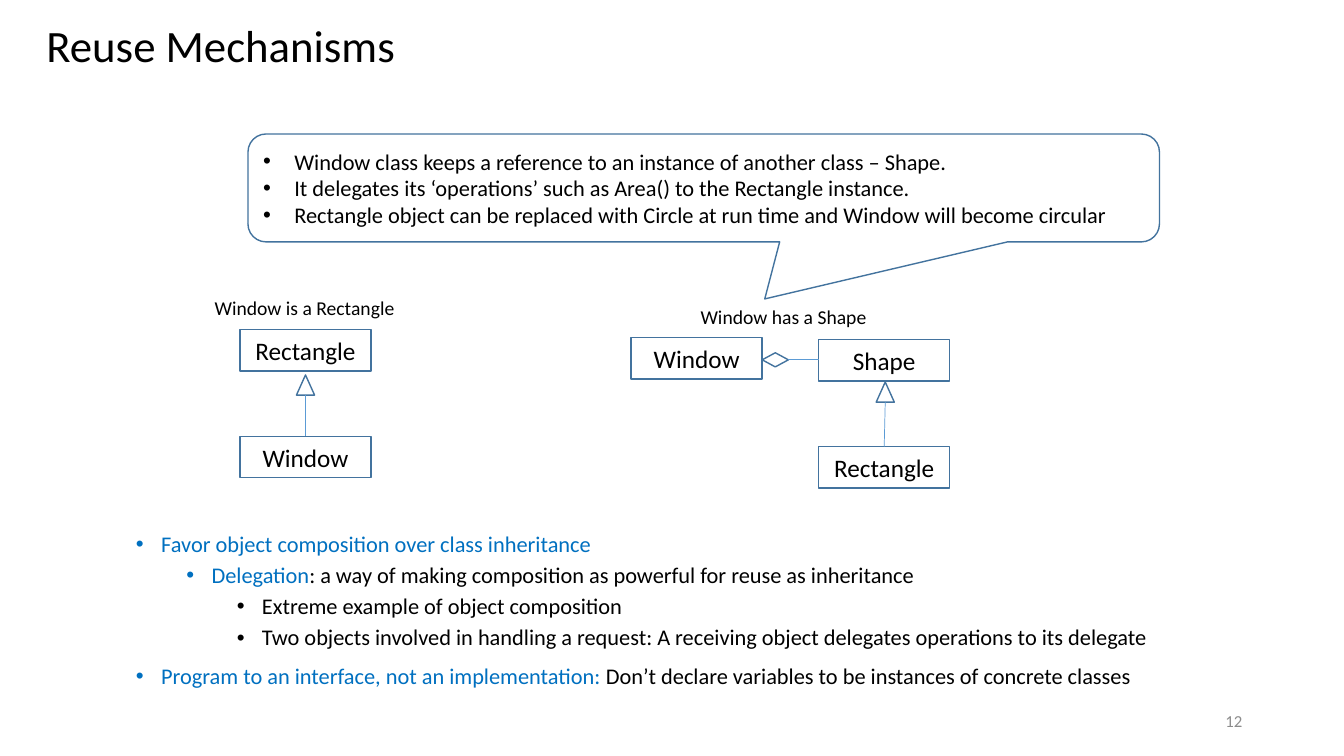
from lxml.etree import SubElement
from pptx import Presentation
from pptx.dml.color import RGBColor
from pptx.enum.shapes import MSO_CONNECTOR, MSO_SHAPE
from pptx.enum.text import MSO_ANCHOR, PP_ALIGN
from pptx.oxml.ns import qn
from pptx.util import Inches, Pt

COLORS = {"text": "000000", "key": "0070C0", "edge": "43739E",
          "link": "5B9BD5", "page": "8C8C8C"}
BOX_W, BOX_H = 1.3, 0.41
TIP_W, TIP_H = 0.18, 0.2

CALLOUT = [
    "Window class keeps a reference to an instance of another class – Shape.",
    "It delegates its ‘operations’ such as Area() to the Rectangle instance.",
    "Rectangle object can be replaced with Circle at run time and Window will become circular",
]
# Each point: level, highlighted words, plain words
POINTS = [
    (0, "Favor object composition over class inheritance", ""),
    (1, "Delegation", ": a way of making composition as powerful for reuse as inheritance"),
    (2, "", "Extreme example of object composition"),
    (2, "", "Two objects involved in handling a request: "
            "A receiving object delegates operations to its delegate"),
    (0, "Program to an interface, not an implementation: ",
     "Don’t declare variables to be instances of concrete classes"),
]


def color(name):
    return RGBColor.from_string(COLORS[name])


def add_bullet(par, left, hang):
    props = par._p.get_or_add_pPr()
    props.set("marL", str(Inches(left)))
    props.set("indent", str(-Inches(hang)))
    SubElement(props, qn("a:buFont"), typeface="Arial")
    SubElement(props, qn("a:buChar"), char="•")


def write(par, text, size=16, ink="text", align=PP_ALIGN.LEFT):
    par.alignment = align
    run = par.add_run()
    run.text = text
    run.font.name = "Calibri"
    run.font.size = Pt(size)
    run.font.color.rgb = color(ink)


def paragraphs(frame, count):
    """Yield the first paragraph of the frame, then new ones up to count."""
    yield frame.paragraphs[0]
    for _ in range(count - 1):
        yield frame.add_paragraph()


def add_text(slide, left, top, width, height, wrap=True, anchor=MSO_ANCHOR.TOP):
    box = slide.shapes.add_textbox(*map(Inches, (left, top, width, height)))
    frame = box.text_frame
    frame.word_wrap = wrap
    frame.vertical_anchor = anchor
    return frame


def add_label(slide, left, top, width, text):
    frame = add_text(slide, left, top, width, 0.34, wrap=False)
    write(frame.paragraphs[0], text, size=14)


def add_outline(slide, kind, left, top, width, height):
    shape = slide.shapes.add_shape(kind, *map(Inches, (left, top, width, height)))
    shape.shadow.inherit = False
    shape.fill.background()
    shape.line.color.rgb = color("edge")
    shape.line.width = Pt(1)
    shape.text_frame.vertical_anchor = MSO_ANCHOR.MIDDLE
    return shape


def add_class(slide, left, top, name):
    box = add_outline(slide, MSO_SHAPE.RECTANGLE, left, top, BOX_W, BOX_H)
    write(box.text_frame.paragraphs[0], name, size=18, align=PP_ALIGN.CENTER)


def add_link(slide, *ends):
    link = slide.shapes.add_connector(MSO_CONNECTOR.STRAIGHT, *map(Inches, ends))
    link.line.color.rgb = color("link")
    link.line.width = Pt(0.5)
    SubElement(link._element.spPr, qn("a:effectLst"))


def add_parent(slide, mid, top, foot, base):
    """Draw an inheritance arrow up to top from the point (foot, base)."""
    add_outline(slide, MSO_SHAPE.ISOSCELES_TRIANGLE, mid - TIP_W / 2, top, TIP_W, TIP_H)
    add_link(slide, mid, top + TIP_H, foot, base)


def add_callout(slide):
    shape = add_outline(slide, MSO_SHAPE.ROUNDED_RECTANGULAR_CALLOUT, 2.46, 1.33, 9.04, 1.07)
    for index, value in enumerate((0.067, 1.029, 0.167)):
        shape.adjustments[index] = value
    for par, text in zip(paragraphs(shape.text_frame, len(CALLOUT)), CALLOUT):
        add_bullet(par, 0.31, 0.31)
        write(par, text)


def add_points(slide):
    frame = add_text(slide, 1.25, 5.24, 10.45, 1.65)
    for index, par in enumerate(paragraphs(frame, len(POINTS))):
        level, key, plain = POINTS[index]
        add_bullet(par, 0.25 + 0.5 * level, 0.25)
        par.level = level
        par.line_spacing = 0.9
        if index:
            par.space_before = Pt(5 if level else 10)
        for text, ink in ((key, "key"), (plain, "text")):
            if text:
                write(par, text, ink=ink)


def add_title(slide, text):
    title = slide.shapes.title
    title.left, title.top, title.width, title.height = map(Inches, (0.36, 0.16, 12.67, 0.64))
    title.text_frame.vertical_anchor = MSO_ANCHOR.MIDDLE
    par = title.text_frame.paragraphs[0]
    par.line_spacing = 0.9
    write(par, text, size=32)


def main():
    deck = Presentation()
    deck.slide_width, deck.slide_height = Inches(13.33), Inches(7.5)
    slide = deck.slides.add_slide(deck.slide_layouts[5])

    add_title(slide, "Reuse Mechanisms")
    add_callout(slide)
    add_points(slide)
    page = add_text(slide, 9.42, 6.95, 3, 0.4, anchor=MSO_ANCHOR.MIDDLE)
    write(page.paragraphs[0], "12", size=12, ink="page", align=PP_ALIGN.RIGHT)

    # Inheritance
    add_label(slide, 2.03, 2.89, 2, "Window is a Rectangle")
    add_class(slide, 2.38, 3.27, "Rectangle")
    add_class(slide, 2.38, 4.33, "Window")
    add_parent(slide, 3.03, 3.72, 3.03, 4.33)

    # Composition
    add_label(slide, 6.85, 2.98, 1.86, "Window has a Shape")
    add_class(slide, 6.26, 3.35, "Window")
    add_class(slide, 8.12, 3.37, "Shape")
    add_class(slide, 8.12, 4.43, "Rectangle")
    add_parent(slide, 8.78, 3.79, 8.77, 4.43)
    add_outline(slide, MSO_SHAPE.FLOWCHART_DECISION, 7.56, 3.5, 0.26, 0.14)
    add_link(slide, 7.82, 3.57, 8.12, 3.57)

    deck.save("out.pptx")


if __name__ == "__main__":
    main()
